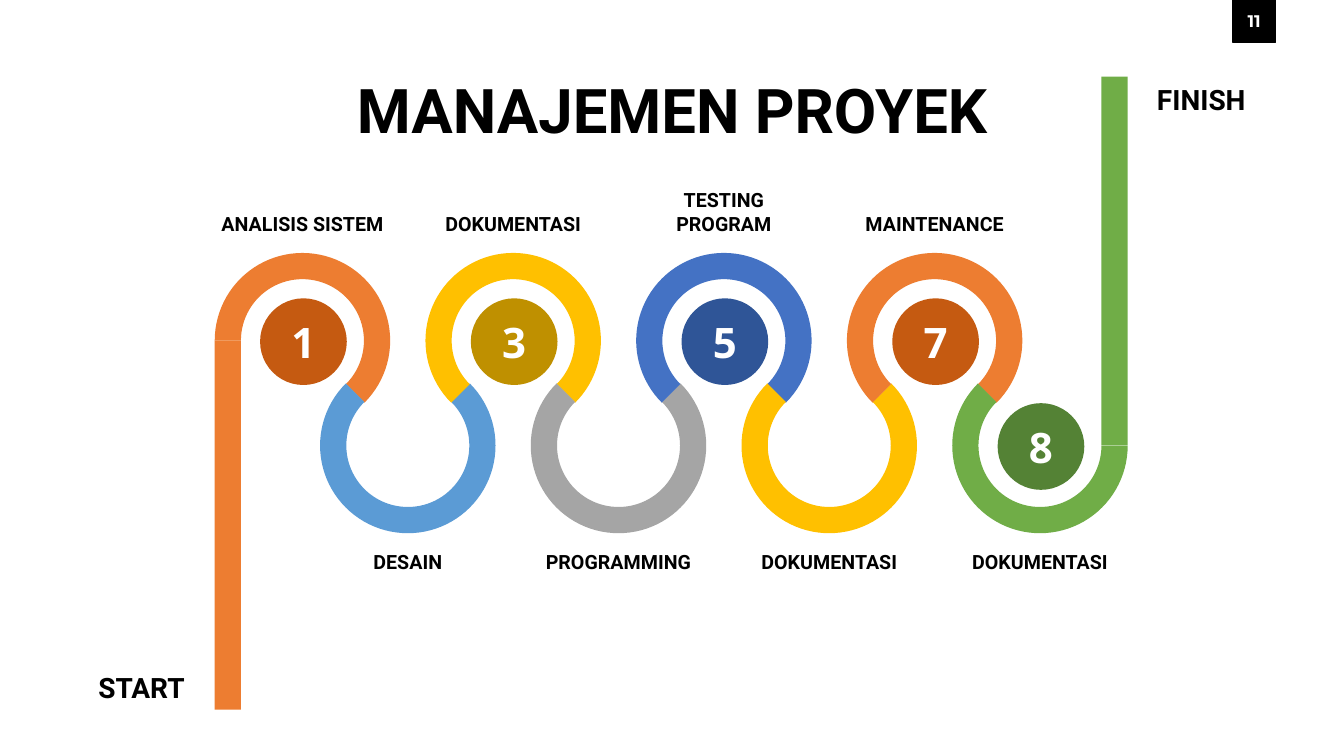
"""Build the MANAJEMEN PROYEK winding roadmap slide."""
from pptx import Presentation
from pptx.dml.color import RGBColor
from pptx.enum import shapes, text
from pptx.util import Inches, Pt

BLACK = RGBColor(0x00, 0x00, 0x00)
WHITE = RGBColor(0xFF, 0xFF, 0xFF)
ORANGE = RGBColor(0xED, 0x7D, 0x31)
BLUE = RGBColor(0x5B, 0x9B, 0xD5)
YELLOW = RGBColor(0xFF, 0xC0, 0x00)
GRAY = RGBColor(0xA5, 0xA5, 0xA5)
INDIGO = RGBColor(0x44, 0x72, 0xC4)
GREEN = RGBColor(0x70, 0xAD, 0x47)
DARK_ORANGE = RGBColor(0xC5, 0x5A, 0x11)
DARK_YELLOW = RGBColor(0xBF, 0x90, 0x00)
DARK_INDIGO = RGBColor(0x2F, 0x55, 0x97)
DARK_GREEN = RGBColor(0x54, 0x82, 0x35)

TITLE = "MANAJEMEN PROYEK"
PAGE = "11"
ENDS = [("START", 0.82, 6.6, 1.17), ("FINISH", 11.36, 0.77, 1.11)]
# label, label width, label lines, loop colour, number, number colour
STEPS = [
    ("ANALISIS SISTEM", 2.11, 1, ORANGE, "1", DARK_ORANGE),
    ("DESAIN", 1.31, 1, BLUE, None, None),
    ("DOKUMENTASI", 1.59, 1, YELLOW, "3", DARK_YELLOW),
    ("PROGRAMMING", 1.7, 1, GRAY, None, None),
    ("TESTING PROGRAM", 1.31, 2, INDIGO, "5", DARK_INDIGO),
    ("DOKUMENTASI", 1.68, 1, YELLOW, None, None),
    ("MAINTENANCE", 1.61, 1, ORANGE, "7", DARK_ORANGE),
    ("DOKUMENTASI", 1.56, 1, GREEN, "8", DARK_GREEN),
]
FIRST_X, PITCH = 3.0, 1.045
TOP_Y, BOTTOM_Y = 3.38, 4.42
OUTER, BAND, DISC = 0.87, 0.26, 0.86
START_Y, FINISH_Y = 7.04, 0.76
TOP_LABEL_END, BOTTOM_LABEL_Y = 2.39, 5.41
LINE_H, LABEL_PAD = 0.23, 0.11
ANGLE_UNIT = 0.6


def write(s, words, size, font, color, anchor):
    tf = s.text_frame
    tf.text = words
    tf.vertical_anchor = anchor
    p = tf.paragraphs[0]
    p.alignment = text.PP_ALIGN.CENTER
    f = p.runs[0].font
    f.size, f.name, f.bold = Pt(size), font, True
    f.color.rgb = color
    return tf


def add_label(sp, words, x, y, w, h, size, anchor=text.MSO_ANCHOR.TOP):
    s = sp.add_textbox(Inches(x), Inches(y), Inches(w), Inches(h))
    tf = write(s, words, size, "Roboto", BLACK, anchor)
    tf.word_wrap = True
    return tf


def add_solid(sp, kind, x, y, w, h, color):
    s = sp.add_shape(kind, Inches(x), Inches(y), Inches(w), Inches(h))
    s.shadow.inherit = False
    s.fill.solid()
    s.fill.fore_color.rgb = color
    s.line.fill.background()
    return s


def add_badge(sp, kind, words, x, y, side, size, font, color):
    s = add_solid(sp, kind, x, y, side, side, color)
    write(s, words, size, font, WHITE, text.MSO_ANCHOR.MIDDLE).word_wrap = False
    return s


def add_loop(sp, cx, cy, begin, end, color):
    s = add_solid(sp, shapes.MSO_SHAPE.BLOCK_ARC, cx - OUTER, cy - OUTER,
                  2 * OUTER, 2 * OUTER, color)
    s.adjustments[0] = begin * ANGLE_UNIT
    s.adjustments[1] = end * ANGLE_UNIT
    s.adjustments[2] = BAND / (2 * OUTER)


def main():
    prs = Presentation()
    prs.slide_width, prs.slide_height = Inches(13.33), Inches(7.5)
    sp = prs.slides.add_slide(prs.slide_layouts[6]).shapes
    rect = shapes.MSO_SHAPE.RECTANGLE

    tf = add_label(sp, TITLE, 0.92, 0.4, 11.5, 1.45, 44, text.MSO_ANCHOR.MIDDLE)
    tf.paragraphs[0].line_spacing = 0.9

    last = len(STEPS) - 1
    for i, (label, w, lines, color, number, dark) in enumerate(STEPS):
        cx = FIRST_X + i * PITCH
        top = i % 2 == 0
        cy = TOP_Y if top else BOTTOM_Y
        begin, end = (135, 45) if top else (315, 225)
        if i in (0, last):
            begin = (begin + 45) % 360
        add_loop(sp, cx, cy, begin, end, color)
        if i == 0:
            add_solid(sp, rect, cx - OUTER, cy, BAND, START_Y - cy, color)
        elif i == last:
            add_solid(sp, rect, cx + OUTER - BAND, FINISH_Y, BAND, cy - FINISH_Y, color)
        if number:
            add_badge(sp, shapes.MSO_SHAPE.OVAL, number, cx + 0.01 - DISC / 2,
                      cy + 0.01 - DISC / 2, DISC, 30, "Noto Sans", dark)
        h = lines * LINE_H + LABEL_PAD
        y = TOP_LABEL_END - h if top else BOTTOM_LABEL_Y
        tf = add_label(sp, label, cx - w / 2, y, w, h, 14)
        tf.auto_size = text.MSO_AUTO_SIZE.SHAPE_TO_FIT_TEXT

    for words, x, y, w in ENDS:
        tf = add_label(sp, words, x, y, w, 0.44, 20)
        tf.auto_size = text.MSO_AUTO_SIZE.SHAPE_TO_FIT_TEXT

    s = add_badge(sp, rect, PAGE, 12.23, 0, 0.42, 12, "Montserrat", BLACK)
    s.line.color.rgb = BLACK
    s.line.width = Pt(1)

    prs.save("out.pptx")


if __name__ == "__main__":
    main()
